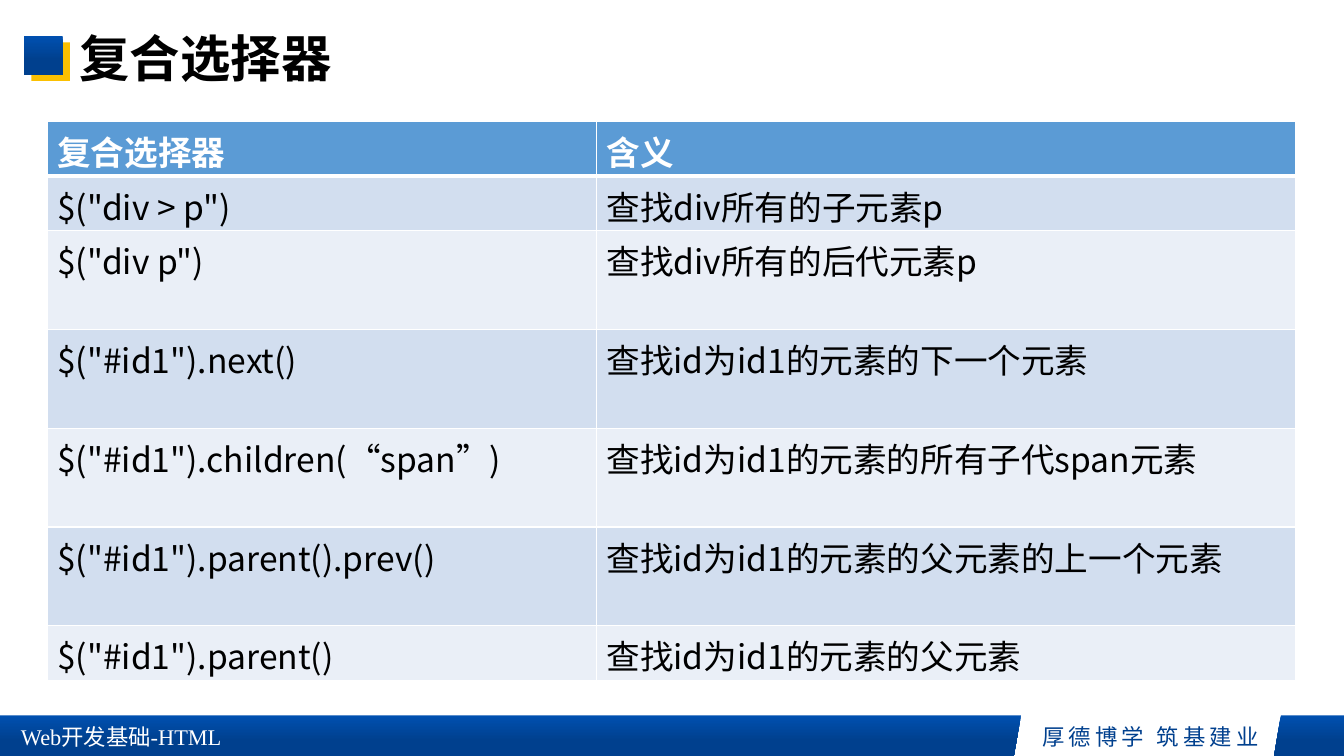
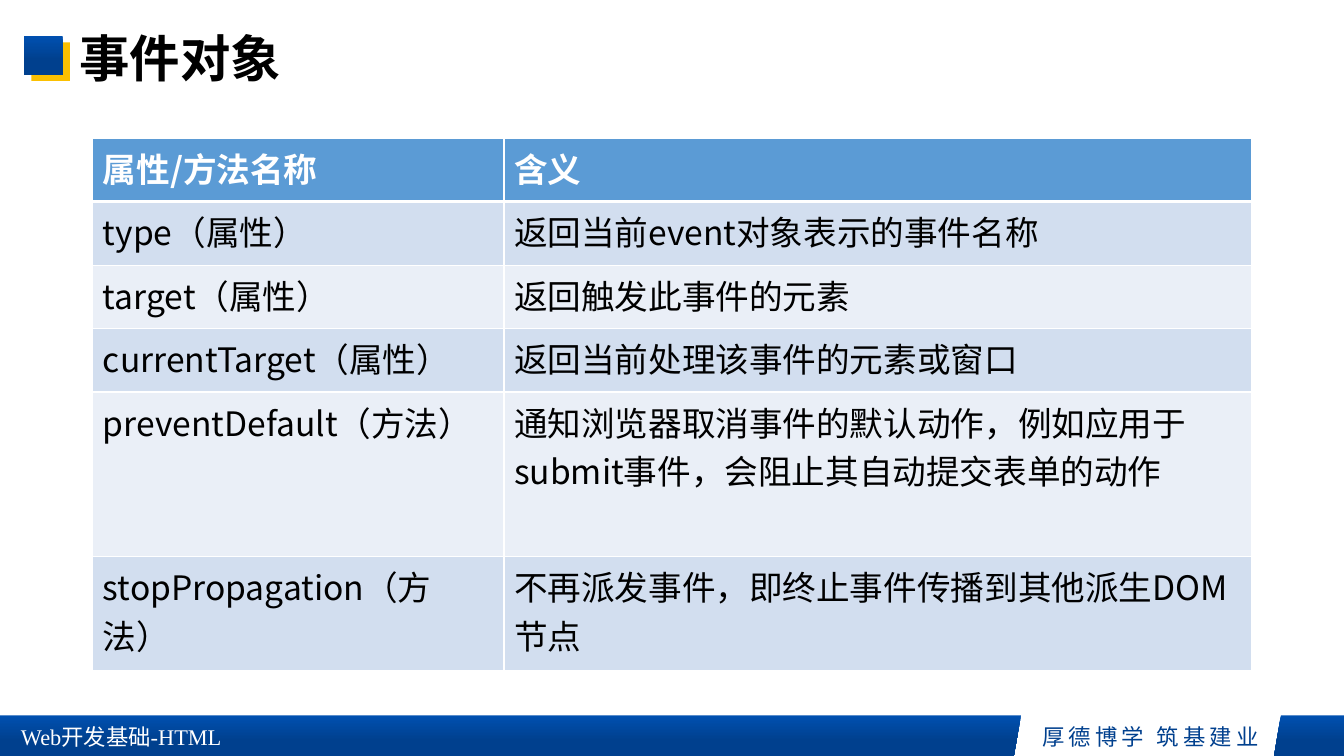
"""Builds two jQuery reference slides with a shared title and footer style."""
from lxml.etree import SubElement
from pptx import Presentation
from pptx.dml.color import RGBColor
from pptx.enum.lang import MSO_LANGUAGE_ID
from pptx.enum.shapes import MSO_SHAPE
from pptx.enum.text import MSO_ANCHOR, MSO_AUTO_SIZE, PP_ALIGN
from pptx.oxml.ns import qn
from pptx.util import Cm, Pt

COLORS = {
    "black": "000000",
    "white": "FFFFFF",
    "blue_light": "0050B0",
    "blue_dark": "00408E",
    "gold": "FBC001",
    "header": "5B9BD5",
    "odd_row": "D2DEEF",
    "even_row": "EAEFF7",
}
SANS = "Noto Sans CJK SC"
SERIF = "Times New Roman"
WIDTH, HEIGHT = 33.87, 19.05
BAND_TOP = 18.03


def color_of(name):
    return RGBColor.from_string(COLORS[name])


def write_text(frame, text, *, size, color="black", font=SANS, bold=False,
               align=PP_ALIGN.LEFT, spacing=0, line_spacing=None):
    para = frame.paragraphs[0]
    para.alignment = align
    para.line_spacing = line_spacing
    span = para.add_run()
    span.text = text
    span.font.size = Pt(size)
    span.font.bold = bold
    span.font.name = font
    span.font.color.rgb = color_of(color)
    span.font.language_id = MSO_LANGUAGE_ID.SIMPLIFIED_CHINESE
    properties = span.font._element
    SubElement(properties, qn("a:ea")).set("typeface", SANS)
    if spacing:
        properties.set("spc", str(spacing * 100))


class CourseDeck:
    def __init__(self):
        self.deck = Presentation()
        self.deck.slide_width = Cm(WIDTH)
        self.deck.slide_height = Cm(HEIGHT)
        self.page = None

    def add_page(self, title):
        self.page = self.deck.slides.add_slide(self.deck.slide_layouts[5])
        self.add_band()
        for left, motto in ((24.64, "厚德博学"), (27.53, "筑基建业")):
            self.add_label(motto, left, 5.82, color="blue_dark",
                           align=PP_ALIGN.CENTER, spacing=3)
        self.add_label("Web开发基础-HTML", 0.28, 7.06, color="white", font=SERIF)
        self.paint(self.add_square(0.79, 1.07), "gold")
        self.paint(self.add_square(0.61, 0.91))
        self.add_title(title)

    def paint(self, shape, color=None):
        shape.shadow.inherit = False
        shape.line.fill.background()
        if color:
            shape.fill.solid()
            shape.fill.fore_color.rgb = color_of(color)
            return
        shape.fill.gradient()
        shape.fill.gradient_angle = 270
        stops = ((0, "blue_light"), (0.62, "blue_dark"))
        for stop, (position, name) in zip(shape.fill.gradient_stops, stops):
            stop.position = position
            stop.color.rgb = color_of(name)

    def add_band(self):
        right_part = ((32.28, BAND_TOP), (WIDTH, BAND_TOP), (WIDTH, HEIGHT), (32.11, HEIGHT))
        left_part = ((0, BAND_TOP), (25.73, BAND_TOP), (25.55, HEIGHT), (0, HEIGHT))
        start, *rest = [(Cm(x), Cm(y)) for x, y in right_part]
        builder = self.page.shapes.build_freeform(*start)
        builder.add_line_segments(rest, close=True)
        start, *rest = [(Cm(x), Cm(y)) for x, y in left_part]
        builder.move_to(*start)
        builder.add_line_segments(rest, close=True)
        self.paint(builder.convert_to_shape())

    def add_square(self, left, top, side=0.97):
        return self.page.shapes.add_shape(
            MSO_SHAPE.RECTANGLE, Cm(left), Cm(top), Cm(side), Cm(side))

    def add_label(self, text, left, width, **style):
        box = self.page.shapes.add_textbox(Cm(left), Cm(18.11), Cm(width), Cm(0.94))
        box.text_frame.word_wrap = True
        box.text_frame.auto_size = MSO_AUTO_SIZE.SHAPE_TO_FIT_TEXT
        write_text(box.text_frame, text, size=16, **style)

    def add_title(self, text):
        title = self.page.shapes.title
        title.left, title.top = Cm(1.75), Cm(0.15)
        title.width, title.height = Cm(29.21), Cm(2.79)
        frame = title.text_frame
        frame.vertical_anchor = MSO_ANCHOR.MIDDLE
        frame.auto_size = MSO_AUTO_SIZE.NONE
        write_text(frame, text, size=36, font=SERIF, bold=True, line_spacing=0.9)

    def add_table(self, left, top, widths, heights, rows):
        table = self.page.shapes.add_table(
            len(rows), len(widths), Cm(left), Cm(top),
            Cm(sum(widths)), Cm(sum(heights))).table
        table.horz_banding = False
        for column, width in zip(table.columns, widths):
            column.width = Cm(width)
        for row, height in zip(table.rows, heights):
            row.height = Cm(height)
        for index, texts in enumerate(rows):
            for column_index, text in enumerate(texts):
                self.fill_cell(table.cell(index, column_index), text, index)

    def fill_cell(self, cell, text, index):
        is_header = index == 0
        self.add_borders(cell, top=3 if index == 1 else 1, bottom=3 if is_header else 1)
        fill = "header" if is_header else ("even_row", "odd_row")[index % 2]
        cell.fill.solid()
        cell.fill.fore_color.rgb = color_of(fill)
        write_text(cell.text_frame, text, size=24, bold=is_header,
                   color="white" if is_header else "black")

    def add_borders(self, cell, top, bottom):
        properties = cell._tc.get_or_add_tcPr()
        for side, points in (("L", 1), ("R", 1), ("T", top), ("B", bottom)):
            line = SubElement(properties, qn(f"a:ln{side}"), w=str(Pt(points)))
            fill = SubElement(line, qn("a:solidFill"))
            SubElement(fill, qn("a:srgbClr"), val=COLORS["white"])


def main():
    course = CourseDeck()

    course.add_page("复合选择器")
    course.add_table(
        1.19, 3.07, [13.84, 17.63], [1.37] * 2 + [2.49] * 4 + [1.37],
        [
            ("复合选择器", "含义"),
            ('$("div > p")', "查找div所有的子元素p"),
            ('$("div p")', "查找div所有的后代元素p"),
            ('$("#id1").next()', "查找id为id1的元素的下一个元素"),
            ('$("#id1").children(“span”)', "查找id为id1的元素的所有子代span元素"),
            ('$("#id1").parent().prev()', "查找id为id1的元素的父元素的上一个元素"),
            ('$("#id1").parent()', "查找id为id1的元素的父元素"),
        ])

    course.add_page("事件对象")
    course.add_table(
        2.34, 3.48, [10.36, 18.85], [1.6] * 4 + [4.14, 2.87],
        [
            ("属性/方法名称", "含义"),
            ("type（属性）", "返回当前event对象表示的事件名称"),
            ("target（属性）", "返回触发此事件的元素"),
            ("currentTarget（属性）", "返回当前处理该事件的元素或窗口"),
            ("preventDefault（方法）",
             "通知浏览器取消事件的默认动作，例如应用于submit事件，会阻止其自动提交表单的动作"),
            ("stopPropagation（方法）", "不再派发事件，即终止事件传播到其他派生DOM节点"),
        ])

    course.deck.save("out.pptx")


if __name__ == "__main__":
    main()
